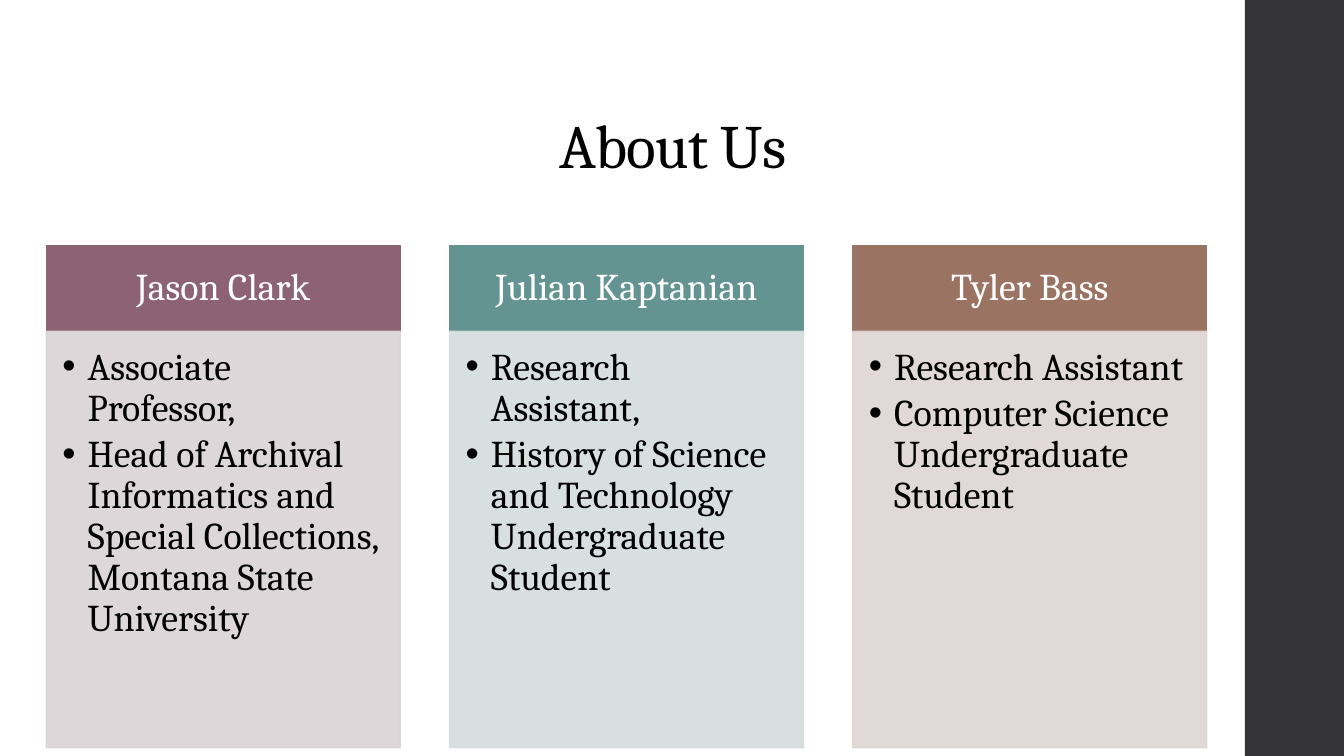
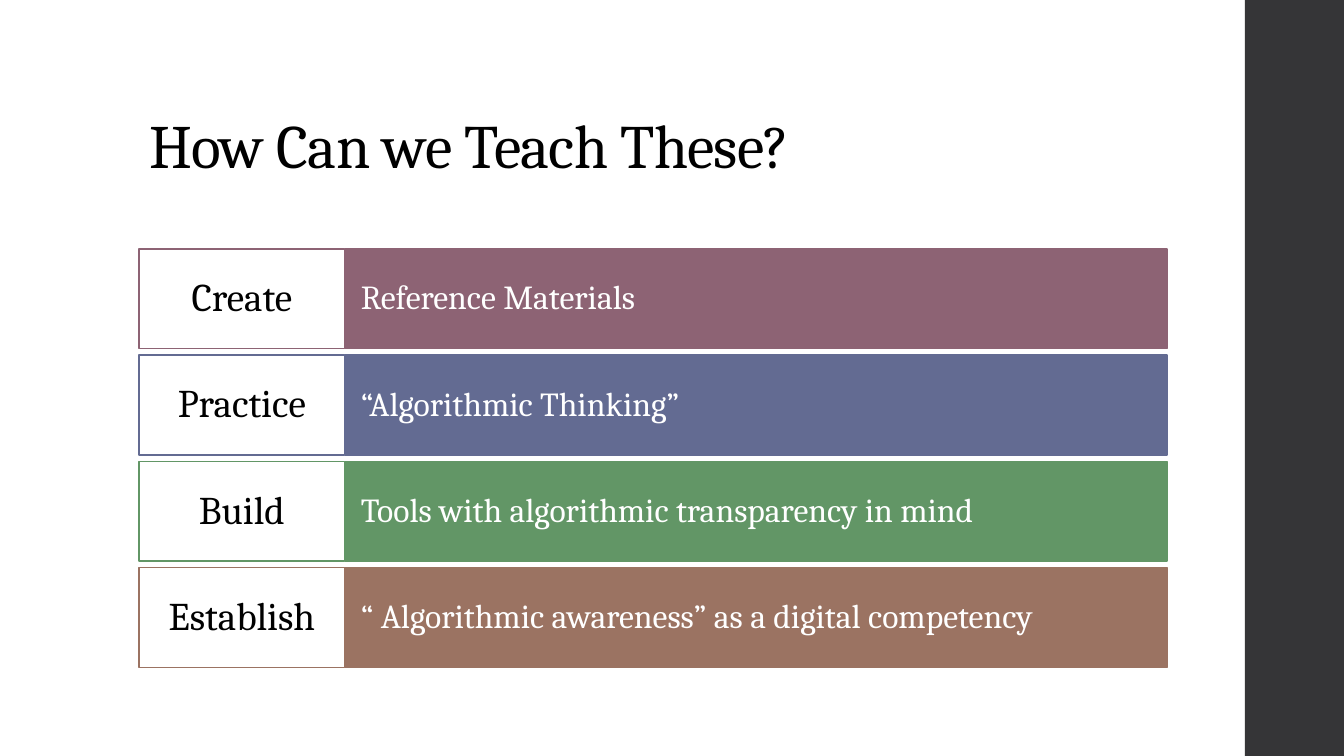
from lxml.etree import SubElement
from pptx import Presentation
from pptx.dml.color import RGBColor
from pptx.enum.shapes import MSO_SHAPE
from pptx.enum.text import MSO_ANCHOR, MSO_AUTO_SIZE, PP_ALIGN
from pptx.oxml.ns import qn
from pptx.util import Inches, Pt

FONT = "Cambria"
BLACK, WHITE, DARK = "000000", "FFFFFF", "353537"
PLUM, TEAL, BROWN, BLUE, GREEN = "8D6374", "639491", "9B7362", "636B92", "629666"
LEFT = 10.35  # left margin of titles and rows, in percent of the width


def paint(target, color, alpha=None):
    """Give a fill, or the fill of a line, a solid colour and an optional opacity."""
    target.solid()
    target.fore_color.rgb = RGBColor.from_string(color)
    if alpha:
        tag = target.fore_color._xFill.find(qn("a:srgbClr"))
        SubElement(tag, qn("a:alpha")).set("val", str(alpha * 1000))


class Deck:
    """Style and current slide; places are percents of the slide's size."""

    def __init__(self):
        self.prs = Presentation()
        self.prs.slide_width, self.prs.slide_height = Inches(13.33), Inches(7.5)

    def spot(self, x, y, w, h):
        wide, high = self.prs.slide_width, self.prs.slide_height
        return [int(share * size / 100)
                for share, size in ((x, wide), (y, high), (w, wide), (h, high))]

    def slide(self, title, align=PP_ALIGN.LEFT):
        self.page = self.prs.slides.add_slide(self.prs.slide_layouts[5])
        self.box((92.63, 0, 7.37, 100), DARK)
        head = self.page.shapes.title
        head.left, head.top, head.width, head.height = self.spot(LEFT, 5.33, 79.5, 19.33)
        self.label(head, [title], 44, BLACK, align, MSO_ANCHOR.BOTTOM)
        head.text_frame.auto_size = MSO_AUTO_SIZE.NONE
        for run in head.text_frame.paragraphs[0].runs:
            run.font._element.set("spc", "-50")

    def box(self, place, fill, line=None, alpha=None):
        shape = self.page.shapes.add_shape(MSO_SHAPE.RECTANGLE, *self.spot(*place))
        shape.shadow.inherit = False
        paint(shape.fill, fill, alpha)
        if line:
            shape.line.width = Pt(1.1)
            paint(shape.line.fill, line, alpha)
        else:
            shape.line.fill.background()
        return shape

    def label(self, shape, lines, size, color, align=PP_ALIGN.LEFT,
              anchor=MSO_ANCHOR.MIDDLE, pad=None, dots=False):
        frame = shape.text_frame
        frame.word_wrap = True
        frame.vertical_anchor = anchor
        if pad:
            (frame.margin_left, frame.margin_top,
             frame.margin_right, frame.margin_bottom) = map(Inches, pad)
        frame.text = "\n".join(lines)
        for para in frame.paragraphs:
            para.alignment = align
            para.line_spacing = 0.9
            if dots:
                para.space_after = Pt(4)
                self.dot(para)
            for run in para.runs:
                run.font.name, run.font.size = FONT, Pt(size)
                run.font.color.rgb = RGBColor.from_string(color)

    def dot(self, para):
        props = para._p.get_or_add_pPr()
        props.set("marL", str(Inches(0.25)))
        props.set("indent", str(-Inches(0.25)))
        SubElement(props, qn("a:buFont")).set("typeface", "Arial")
        SubElement(props, qn("a:buChar")).set("char", "•")

    def card(self, col, name, roles, color, tint):
        x, wide = 3.45 + 30 * col, 26.33
        head = self.box((x, 32.5, wide, 11.33), color, color)
        self.label(head, [name], 27, WHITE, PP_ALIGN.CENTER, pad=(0.21, 0.12, 0.21, 0.12))
        body = self.box((x, 43.83, wide, 55.07), tint, tint, 90)
        self.label(body, roles, 27, BLACK, anchor=MSO_ANCHOR.TOP,
                   pad=(0.16, 0.16, 0.21, 0.24), dots=True)

    def row(self, num, verb, text, color):
        y, high, split = 32.93 + 14.05 * num, 13.2, 15.3
        bar = self.box((LEFT + split, y, 4 * split, high), color, color)
        self.label(bar, [text], 24, WHITE, pad=(0.16, 0.25, 0.16, 0.25))
        tag = self.box((LEFT, y, split, high), WHITE, color)
        self.label(tag, [verb], 28, BLACK, PP_ALIGN.CENTER, pad=(0.11, 0.1, 0.11, 0.1))


TEAM = [
    ("Jason Clark",
     ["Associate Professor,",
      "Head of Archival Informatics and Special Collections, Montana State University"],
     PLUM, "DBD3D6"),
    ("Julian Kaptanian",
     ["Research Assistant,", "History of Science and Technology Undergraduate Student"],
     TEAL, "D3DCDC"),
    ("Tyler Bass",
     ["Research Assistant", "Computer Science Undergraduate Student"],
     BROWN, "DED5D3"),
]
STEPS = [
    ("Create", "Reference Materials", PLUM),
    ("Practice", "“Algorithmic Thinking”", BLUE),
    ("Build", "Tools with algorithmic transparency in mind", GREEN),
    ("Establish", "“ Algorithmic awareness” as a digital competency", BROWN),
]


def main():
    deck = Deck()
    deck.slide("About Us", PP_ALIGN.CENTER)
    for col, person in enumerate(TEAM):
        deck.card(col, *person)
    deck.slide("How Can we Teach These?")
    for num, step in enumerate(STEPS):
        deck.row(num, *step)
    deck.prs.save("out.pptx")


if __name__ == "__main__":
    main()
